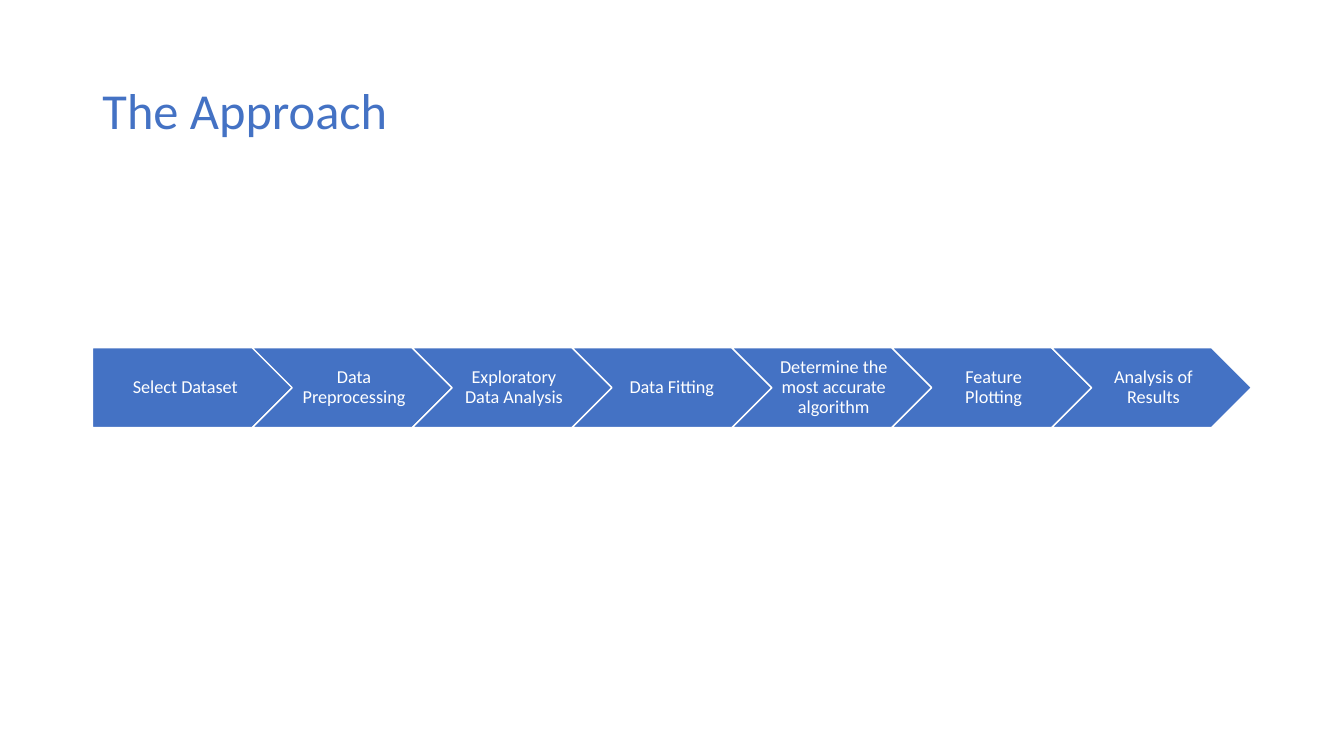
import pptx
import pptx.dml.color
import pptx.enum.shapes
import pptx.enum.text
import pptx.util

Pt = pptx.util.Pt
RGB = pptx.dml.color.RGBColor
SHAPE = pptx.enum.shapes.MSO_SHAPE
ALIGN = pptx.enum.text.PP_ALIGN

TITLE = "The Approach"
STEPS = [
    "Select Dataset",
    "Data Preprocessing",
    "Exploratory Data Analysis",
    "Data Fitting ",
    "Determine the most accurate algorithm",
    "Feature Plotting",
    "Analysis of Results",
]

THEME = {
    "font": "Calibri",
    "accent": RGB(0x44, 0x72, 0xC4),
    "light": RGB(0xFF, 0xFF, 0xFF),
    "title_size": 36,
    "step_size": 13,
}

SLIDE_W, SLIDE_H = 960, 540
LEFT, CONTENT_W = 66, 828
TITLE_TOP, TITLE_H = 28.75, 104.4
STEPS_TOP = 248.4
PITCH = 0.8  # distance between arrow starts, as a share of arrow width
STEP_W = CONTENT_W / (1 + PITCH * (len(STEPS) - 1))
STEP_H = 0.4 * STEP_W


def write(tf, text, size, color, align):
    tf.word_wrap = True
    tf.auto_size = pptx.enum.text.MSO_AUTO_SIZE.NONE
    tf.vertical_anchor = pptx.enum.text.MSO_ANCHOR.MIDDLE
    p = tf.paragraphs[0]
    p.alignment = align
    p.line_spacing = 0.9
    r = p.add_run()
    r.text = text
    r.font.name = THEME["font"]
    r.font.size = Pt(size)
    r.font.color.rgb = color


def add_step(group, index, text):
    kind = SHAPE.CHEVRON if index else SHAPE.PENTAGON
    sp = group.shapes.add_shape(
        kind, Pt(LEFT + index * PITCH * STEP_W), Pt(STEPS_TOP), Pt(STEP_W), Pt(STEP_H))
    sp.shadow.inherit = False
    sp.fill.solid()
    sp.fill.fore_color.rgb = THEME["accent"]
    sp.line.color.rgb = THEME["light"]
    sp.line.width = Pt(1)
    tf = sp.text_frame
    tf.margin_left = Pt(4 if index else 5.6)
    tf.margin_right = Pt(1.4)
    tf.margin_top = tf.margin_bottom = Pt(2.8)
    write(tf, text, THEME["step_size"], THEME["light"], ALIGN.CENTER)


def main():
    prs = pptx.Presentation()
    prs.slide_width, prs.slide_height = Pt(SLIDE_W), Pt(SLIDE_H)
    s = prs.slides.add_slide(prs.slide_layouts.get_by_name("Title Only"))

    title = s.shapes.title
    title.left, title.top = Pt(LEFT), Pt(TITLE_TOP)
    title.width, title.height = Pt(CONTENT_W), Pt(TITLE_H)
    write(title.text_frame, TITLE, THEME["title_size"], THEME["accent"], ALIGN.LEFT)

    group = s.shapes.add_group_shape()
    for index, text in enumerate(STEPS):
        add_step(group, index, text)

    prs.save("out.pptx")


if __name__ == "__main__":
    main()
